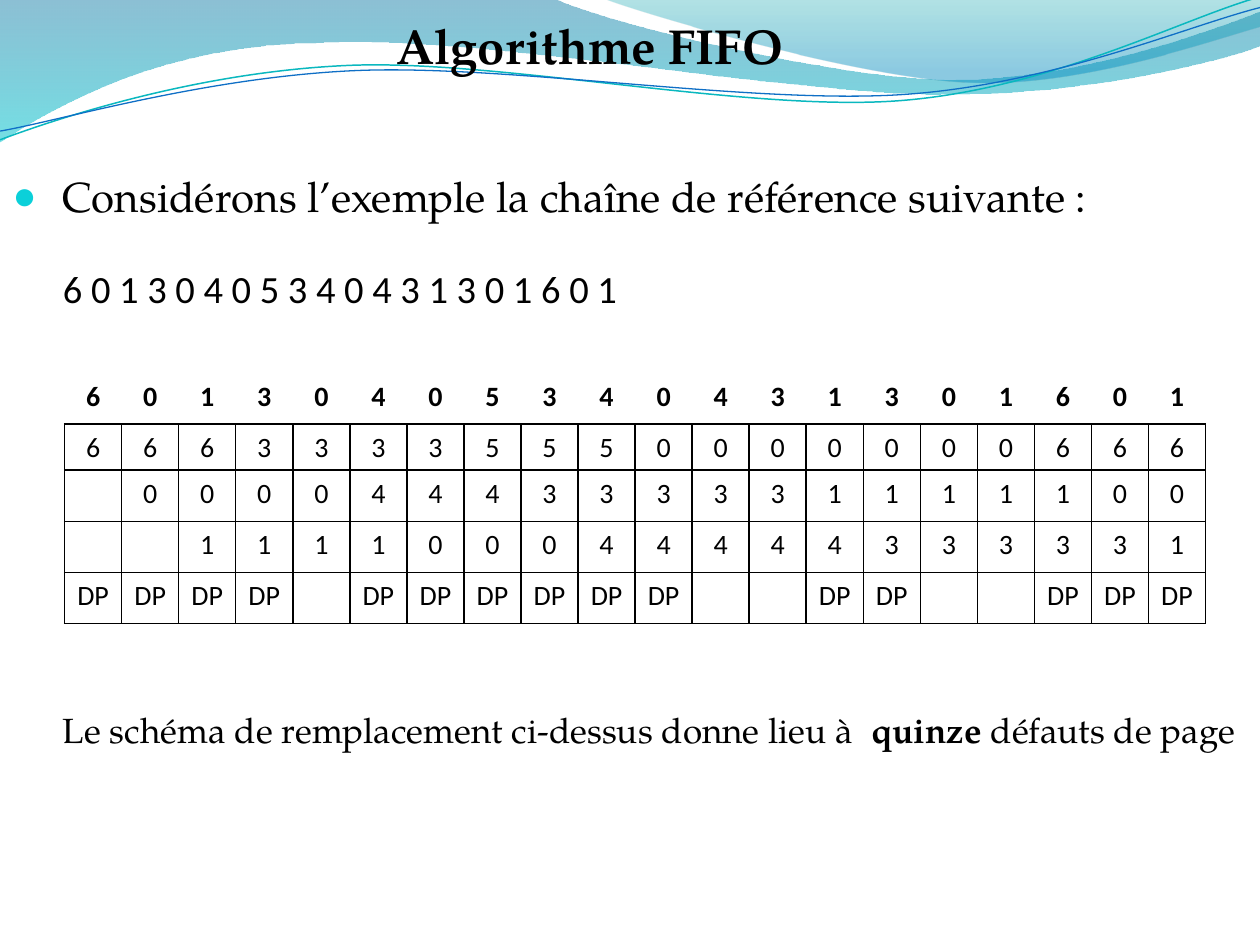
from dataclasses import dataclass

from lxml import etree
from pptx import Presentation
from pptx.dml import color
from pptx.enum import text
from pptx.oxml import ns
from pptx.util import Pt


@dataclass
class Theme:
    serif: str = "TeX Gyre Pagella"
    sans: str = "Calibri"
    ink: str = "000000"
    bullet: str = "0BD0D9"
    title: int = 28
    lead: int = 24
    chain: int = 22
    note: int = 20
    cell: int = 16
    band: tuple = ((0, "0074A1", 45), (1, "00C6CF", 55))
    crest: tuple = ((0, "00A1A9", 30), (0.8, "008BBF", 45))
    teal: str = "0AB8BF"
    blue: str = "0F6FC6"


def add(node, tag, **attrs):
    return etree.SubElement(node, ns.qn("a:" + tag), attrs)


def style(para, face, size, bold=False):
    font = para.font
    font.name, font.size, font.bold = face, Pt(size), bold
    font.color.rgb = color.RGBColor.from_string(theme.ink)


theme = Theme()
prs = Presentation()
prs.slide_width, prs.slide_height = Pt(720), Pt(540)
slide = prs.slides.add_slide(prs.slide_layouts[1])
title, body = slide.placeholders
tree = slide.shapes._spTree

waves = [
    (theme.band, None, 0, [
        (0, -0.7), (316.8, -0.7),
        (342.7, 12.2, 478.1, 45.4, 545.8, 45.4),
        (614.2, 45.4, 689.8, 18.7, 720, 6.5), (720.7, 25.9),
        (707.8, 31.7, 626.4, 54.7, 537.1, 54),
        (447.8, 54, 275, 20.2, 185, 24.5),
        (92.9, 25.2, 33.1, 59.8, -0.7, 81.4)]),
    (theme.crest, None, 0, [
        (344.9, -0.7),
        (366.5, 7.9, 491, 44.6, 553.7, 46.8),
        (616.3, 49.7, 691.9, 23, 720, 15.1), (720, 0)]),
    (None, theme.teal, 0.85, [
        (0, 79.9),
        (34.6, 67, 113.8, 41, 199.4, 37.4),
        (284.4, 33.8, 427, 64.1, 513.4, 57.6),
        (599.8, 51.1, 675.4, 10.8, 718.6, -1.4)]),
    (None, theme.blue, 0.75, [
        (0, 74.9),
        (33.8, 69.1, 118.1, 43.9, 203.8, 40.3),
        (290.2, 36.7, 429.8, 59.8, 516.2, 54),
        (601.9, 48.2, 677.5, 15.1, 720, 4.3)]),
]
for stops, stroke, width, parts in waves:
    spots = [(Pt(x), Pt(y)) for part in parts for x, y in zip(part[::2], part[1::2])]
    pen = slide.shapes.build_freeform(*spots[0])
    pen.add_line_segments(spots[1:], close=bool(stops))
    wave = pen.convert_to_shape()
    wave.shadow.inherit = False
    legs = iter(wave._element.findall(".//" + ns.qn("a:lnTo")))
    for part in parts[1:]:
        leg = next(legs)
        if len(part) == 6:
            curve = etree.Element(ns.qn("a:cubicBezTo"))
            leg.addprevious(curve)
            for old in (leg, next(legs), next(legs)):
                curve.append(old[0])
                old.getparent().remove(old)
    if stops:
        wave.line.fill.background()
        wave.fill.gradient()
        wave.fill.gradient_angle = 270
        for stop, (place, tint, alpha) in zip(wave.fill.gradient_stops, stops):
            stop.position = place
            stop.color.rgb = color.RGBColor.from_string(tint)
            add(stop.color._xFill[0], "alpha", val=str(alpha * 1000))
    else:
        wave.fill.background()
        wave.line.color.rgb = color.RGBColor.from_string(stroke)
        wave.line.width = Pt(width)

tree.append(body._element)
body.left, body.top, body.width, body.height = Pt(0), Pt(79.2), Pt(720), Pt(463)
frame = body.text_frame
frame.word_wrap = True
frame.auto_size = text.MSO_AUTO_SIZE.NONE
frame.vertical_anchor = text.MSO_ANCHOR.TOP
lines = [
    (["Considérons l’exemple la chaîne de référence suivante : "],
     theme.serif, theme.lead, 0, 0, 1.5),
    (["6 0 1 3 0 4 0 5 3 4 0 4 3 1 3 0 1 6 0 1"],
     theme.sans, theme.chain, 1, 6, 1.5),
    (["Le schéma de remplacement ci-dessus donne lieu à  ", "quinze", " défauts de page"],
     theme.serif, theme.note, 1, 209, Pt(36)),
]
for n, (words, face, size, level, gap, pitch) in enumerate(lines):
    para = frame.add_paragraph() if n else frame.paragraphs[0]
    para.level = level
    para.alignment = text.PP_ALIGN.JUSTIFY
    para.line_spacing = pitch
    para.space_before, para.space_after = Pt(gap), Pt(6)
    props = para._p.get_or_add_pPr()
    props.set("marL", str(Pt(28.35 + 28.75 * level)))
    props.set("indent", str(Pt(-28.35)))
    if level:
        add(props, "buNone")
    else:
        add(add(props, "buClr"), "srgbClr", val=theme.bullet)
        add(props, "buSzPct", val="95000")
        add(props, "buChar", char="●")
    style(para, face, size)
    for word in words:
        run = para.add_run()
        run.text = word
        if word == "quinze":
            run.font.bold = True

tree.append(title._element)
title.left, title.top, title.width, title.height = Pt(217.7), Pt(-2.3), Pt(238.4), Pt(46)
frame = title.text_frame
frame.text = "Algorithme FIFO"
frame.word_wrap = False
frame.auto_size = text.MSO_AUTO_SIZE.NONE
frame.vertical_anchor = text.MSO_ANCHOR.TOP
para = frame.paragraphs[0]
para.alignment = text.PP_ALIGN.CENTER
para.line_spacing = Pt(41)
style(para, theme.serif, theme.title, True)

rows = [list(row.replace("-", " ")) for row in (
    "60130405340431301601",
    "66633335550000000666",
    "-0000444333331111100",
    "--111100044444333331",
)]
pages = "DDDD-DDDDDD--DD--DDD"
rows.append(["DP" if page == "D" else " " for page in pages])
cols = len(pages)
grid = slide.shapes.add_table(len(rows), cols, Pt(36.9), Pt(213.2), Pt(32.6 * cols), Pt(143.3)).table
grid.first_row = grid.horz_banding = False
for col in grid.columns:
    col.width = Pt(32.6)
for r, row in enumerate(rows):
    grid.rows[r].height = Pt(10.8 if r == 1 else 29.25)
    for c, mark in enumerate(row):
        cell = grid.cell(r, c)
        cell.margin_left = cell.margin_right = Pt(3)
        if r == 1:
            cell.margin_bottom = Pt(3.1)
        cell.text = mark.strip()
        para = cell.text_frame.paragraphs[0]
        para.alignment = text.PP_ALIGN.CENTER
        style(para, theme.sans, theme.cell, r == 0)
        props = cell._tc.get_or_add_tcPr()
        for side in ("lnL", "lnR", "lnT", "lnB"):
            if r == 0 and side != "lnB":
                add(add(props, side), "noFill")
            else:
                edge = add(props, side, w=str(Pt(1)))
                add(add(edge, "solidFill"), "srgbClr", val=theme.ink)
        cell.fill.background()

prs.save("out.pptx")
